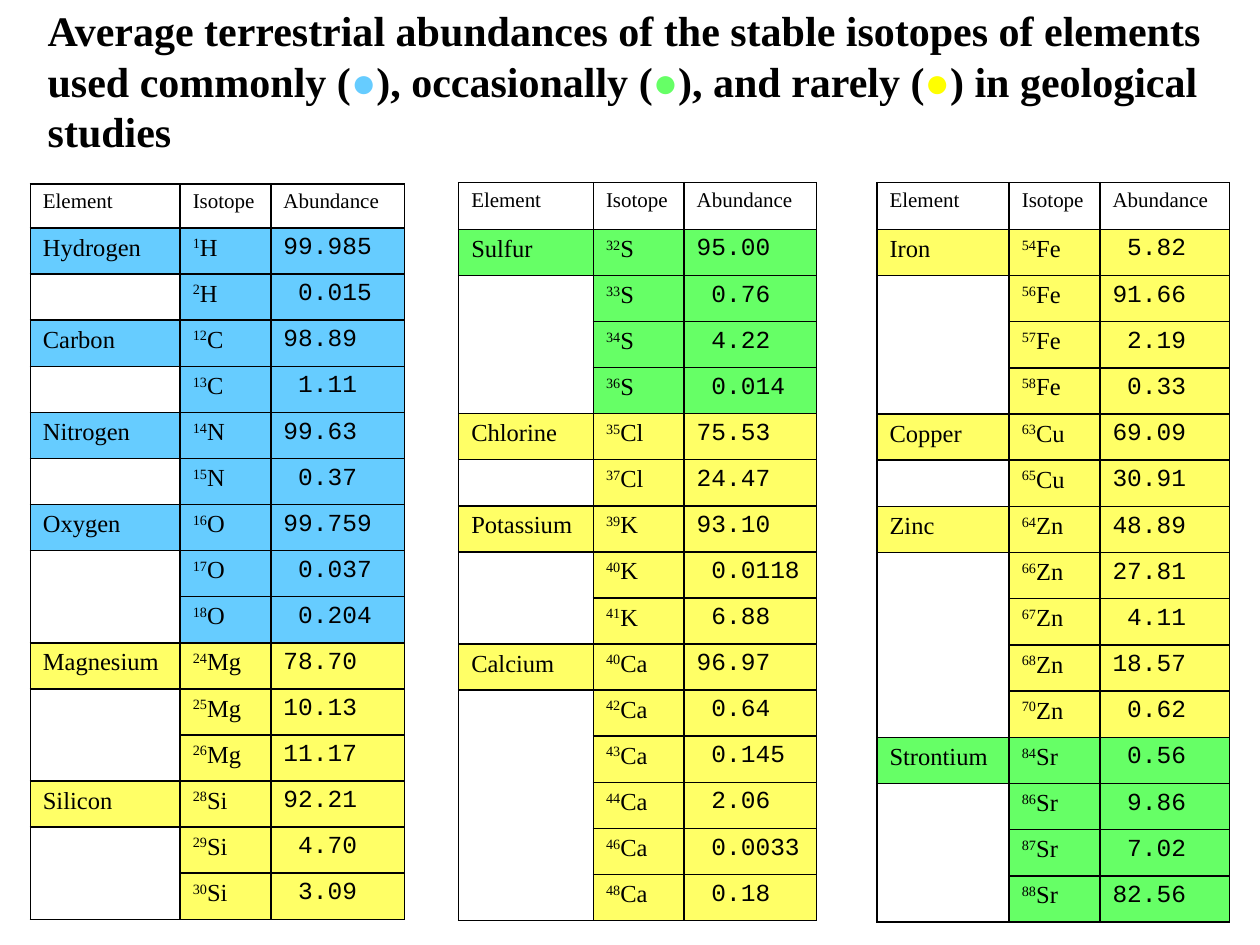
from lxml.etree import SubElement as Sub
from pptx import Presentation
from pptx.dml.color import RGBColor as RGB
from pptx.enum.text import MSO_AUTO_SIZE as AutoSize
from pptx.oxml.ns import qn
from pptx.util import Inches, Pt

COLORS = {
    "ink": "000000",
    "common": "66CCFF",
    "occasional": "66FF66",
    "rare": "FFFF66",
    "rare dot": "FFFF00",
}
SERIF, MONO = "Times New Roman", "Courier New"
HEADS = ("Element", "Isotope", "Abundance")
TITLE = (
    ("Average terrestrial abundances of the stable isotopes of elements used commonly (", "ink"),
    ("●", "common"),
    ("), occasionally (", "ink"),
    ("●", "occasional"),
    ("), and rarely (", "ink"),
    ("●", "rare dot"),
    (") in geological studies", "ink"),
)
# Element, symbol, use, and "mass abundance" of each isotope
LIGHT = (
    ("Hydrogen", "H", "common", ("1 99.985", "2 0.015")),
    ("Carbon", "C", "common", ("12 98.89", "13 1.11")),
    ("Nitrogen", "N", "common", ("14 99.63", "15 0.37")),
    ("Oxygen", "O", "common", ("16 99.759", "17 0.037", "18 0.204")),
    ("Magnesium", "Mg", "rare", ("24 78.70", "25 10.13", "26 11.17")),
    ("Silicon", "Si", "rare", ("28 92.21", "29 4.70", "30 3.09")),
)
MIDDLE = (
    ("Sulfur", "S", "occasional", ("32 95.00", "33 0.76", "34 4.22", "36 0.014")),
    ("Chlorine", "Cl", "rare", ("35 75.53", "37 24.47")),
    ("Potassium", "K", "rare", ("39 93.10", "40 0.0118", "41 6.88")),
    ("Calcium", "Ca", "rare",
     ("40 96.97", "42 0.64", "43 0.145", "44 2.06", "46 0.0033", "48 0.18")),
)
HEAVY = (
    ("Iron", "Fe", "rare", ("54 5.82", "56 91.66", "57 2.19", "58 0.33")),
    ("Copper", "Cu", "rare", ("63 69.09", "65 30.91")),
    ("Zinc", "Zn", "rare", ("64 48.89", "66 27.81", "67 4.11", "68 18.57", "70 0.62")),
    ("Strontium", "Sr", "occasional", ("84 0.56", "86 9.86", "87 7.02", "88 82.56")),
)
# Left, top, height, height of the head row, column widths, elements
TABLES = (
    (0.24, 1.46, 5.84, 0.35, (1.19, 0.72, 1.06), LIGHT),
    (3.64, 1.45, 5.86, 0.37, (1.07, 0.72, 1.05), MIDDLE),
    (6.96, 1.45, 5.87, 0.37, (1.05, 0.72, 1.03), HEAVY),
)


def color(name):
    return RGB.from_string(COLORS[name])


def set_font(par, size, name=SERIF, bold=False):
    font = par.font
    font.size, font.name, font.bold = Pt(size), name, bold
    font.color.rgb = color("ink")


def add_title(slide):
    box = slide.shapes.add_textbox(Inches(0.28), Inches(-0.01), Inches(9.51), Inches(1.31))
    frame = box.text_frame
    frame.word_wrap = True
    frame.auto_size = AutoSize.SHAPE_TO_FIT_TEXT
    par = frame.paragraphs[0]
    set_font(par, 24, bold=True)
    for text, name in TITLE:
        run = par.add_run()
        run.text = text
        run.font.color.rgb = color(name)


def set_cell(cell, text="", use=None, size=14, font=SERIF, mass="", sides="LRTB"):
    """Fill one cell; mass is raised before the text, sides are the ruled edges."""
    props = cell._tc.get_or_add_tcPr()
    for side in "LRTB":
        line = Sub(props, qn(f"a:ln{side}"), w=str(Pt(1)))
        if side in sides:
            Sub(Sub(line, qn("a:solidFill")), qn("a:srgbClr"), val=COLORS["ink"])
        else:
            Sub(line, qn("a:noFill"))
    if use:
        cell.fill.solid()
        cell.fill.fore_color.rgb = color(use)
    else:
        cell.fill.background()

    par = cell.text_frame.paragraphs[0]
    set_font(par, size, font)
    if mass:
        run = par.add_run()
        run.text = mass
        run.font._element.set("baseline", "30000")
    if text:
        par.add_run().text = text
    else:
        # An empty cell keeps its row low only with a small end mark
        Sub(par._p, qn("a:endParaRPr"), sz=str(size * 100))


def add_table(slide, left, top, height, head, widths, elements):
    count = 1 + sum(len(isotopes) for *_, isotopes in elements)
    frame = slide.shapes.add_table(
        count, len(widths), Inches(left), Inches(top), Inches(sum(widths)), Inches(height))
    table = frame.table
    table.first_row = table.horz_banding = False
    for column, width in zip(table.columns, widths):
        column.width = Inches(width)
    for row in table.rows:
        row.height = Inches((height - head) / (count - 1))
    table.rows[0].height = Inches(head)

    for col, text in enumerate(HEADS):
        set_cell(table.cell(0, col), text, size=12)
    row = 1
    for name, symbol, use, isotopes in elements:
        last = len(isotopes) - 1
        for i, isotope in enumerate(isotopes):
            mass, share = isotope.split()
            if i == 0:
                set_cell(table.cell(row, 0), name, use)
            else:
                sides = "LR" + "T" * (i == 1) + "B" * (i == last)
                set_cell(table.cell(row, 0), sides=sides)
            set_cell(table.cell(row, 1), symbol, use, mass=mass)
            # Line up the decimal points
            pad = " " * (2 - share.index("."))
            set_cell(table.cell(row, 2), pad + share, use, font=MONO)
            row += 1


def main():
    deck = Presentation()
    deck.slide_width, deck.slide_height = Inches(10), Inches(7.5)
    slide = deck.slides.add_slide(deck.slide_layouts[6])
    for table in TABLES:
        add_table(slide, *table)
    add_title(slide)
    deck.save("out.pptx")


if __name__ == "__main__":
    main()
